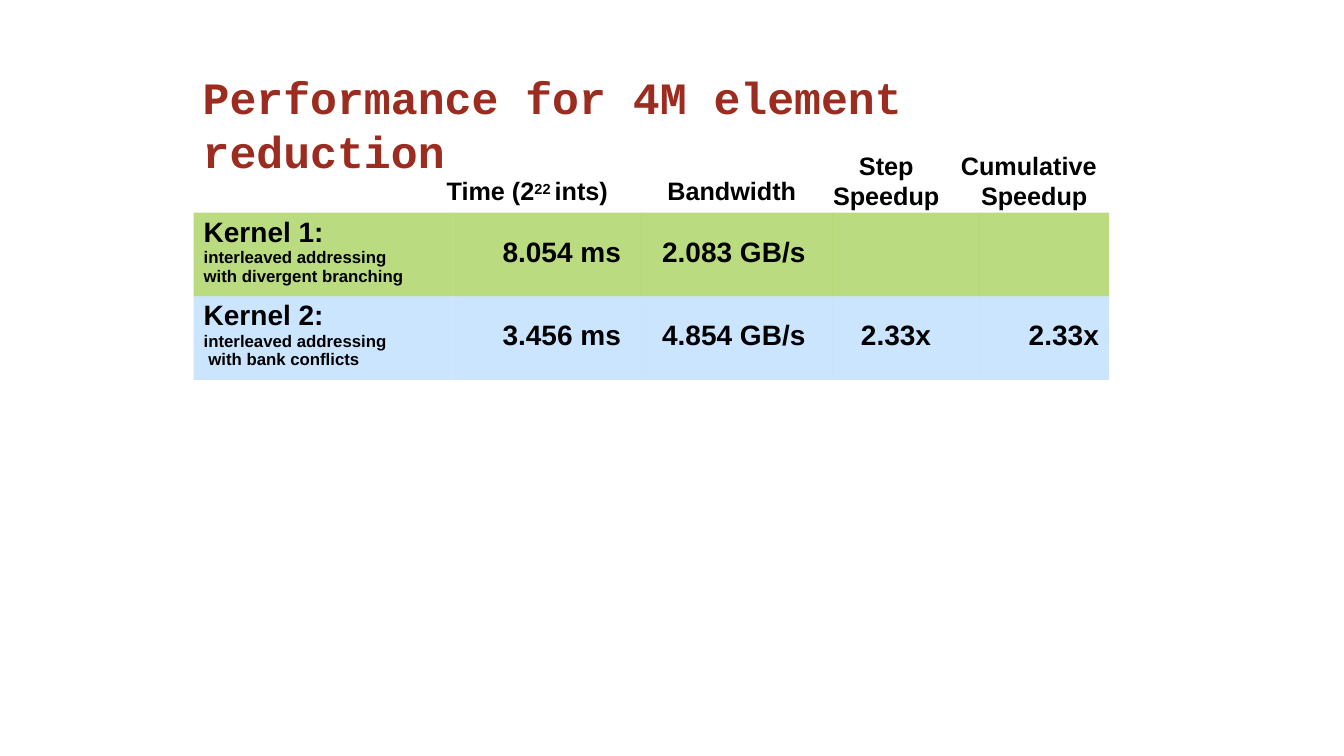
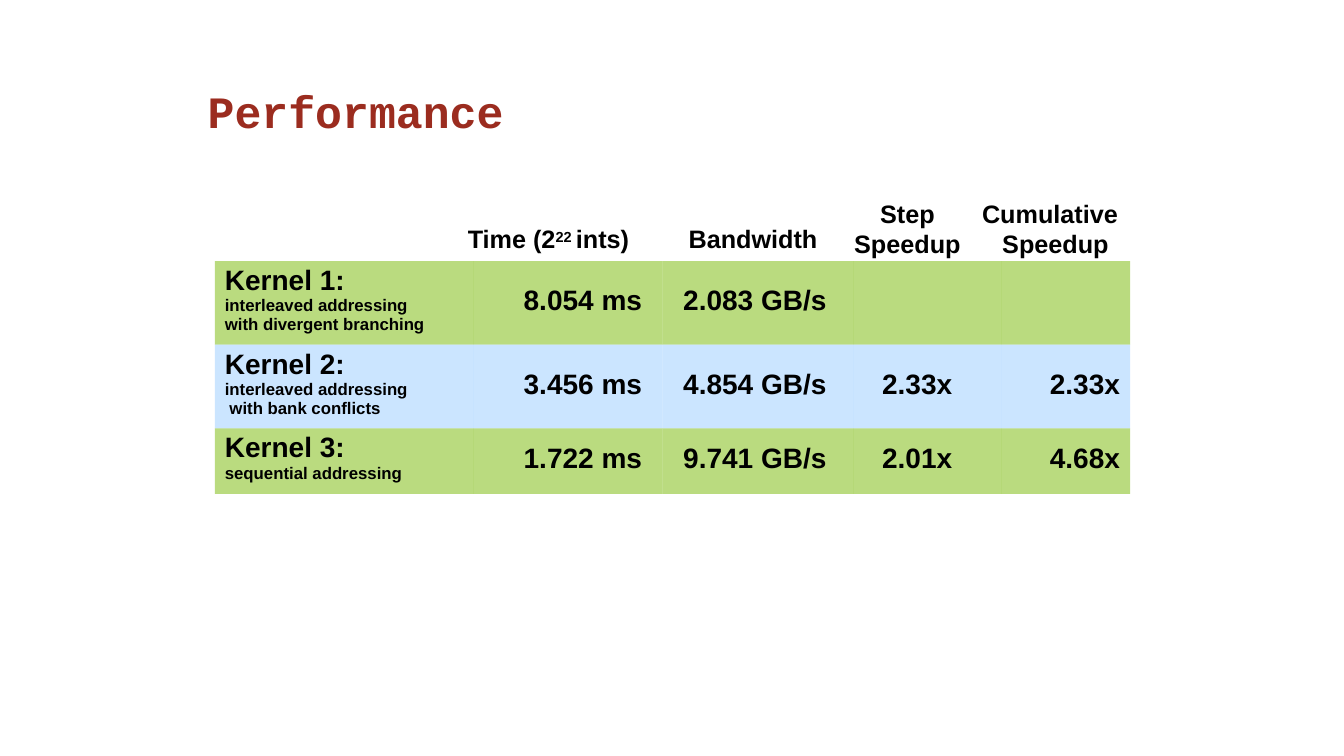
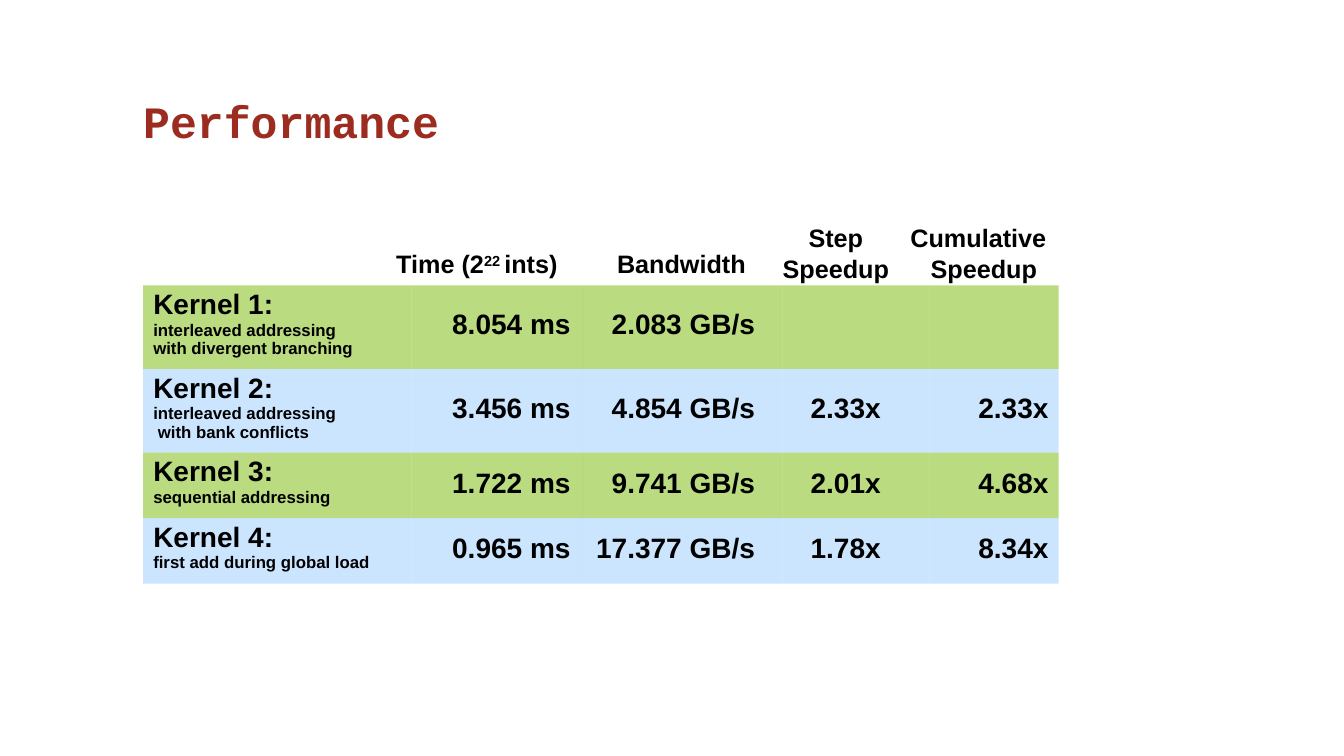
from dataclasses import dataclass

from lxml import etree
from pptx import Presentation
from pptx.dml.color import RGBColor
from pptx.enum.text import MSO_ANCHOR, MSO_AUTO_SIZE, PP_ALIGN
from pptx.oxml.ns import qn
from pptx.slide import Slide
from pptx.table import _Cell
from pptx.text.text import TextFrame, _Paragraph
from pptx.util import Emu, Inches, Pt

LEFT, CENTER, RIGHT = PP_ALIGN.LEFT, PP_ALIGN.CENTER, PP_ALIGN.RIGHT
TOP = MSO_ANCHOR.TOP
FIT_SHAPE = MSO_AUTO_SIZE.SHAPE_TO_FIT_TEXT
TITLE_ONLY = 5

RED = RGBColor(0x9B, 0x2C, 0x1F)
BLACK = RGBColor(0x00, 0x00, 0x00)
ROW_COLORS = (RGBColor(0x76, 0xB8, 0x00), RGBColor(0x99, 0xCC, 0xFF))
ROW_ALPHA = "50000"
PLAIN_TABLE = "{2D5ABB26-0587-4C30-8999-92F81FD0307C}"

GRID_STEP = Inches(0.1)
SLIDE_COLUMNS, SLIDE_ROWS = 133.3, 75
VALUE_LINE = 3.5
LABEL_INSET = 0.4


@dataclass(frozen=True)
class Kernel:
    name: str
    method: str
    values: tuple[str, str, str, str]
    height: float


@dataclass(frozen=True)
class Header:
    pieces: tuple[tuple[str, int], ...]
    left: float
    above: float
    width: float
    height: float
    align: PP_ALIGN = LEFT
    margin: float = 0.1
    indent: float = 0


@dataclass(frozen=True)
class PerformanceSlide:
    title: str
    title_box: tuple[float, float, float, float]
    table_left: float
    table_top: float
    column_widths: tuple[float, ...]
    time_inset: float
    kernel_count: int


KERNELS = (
    Kernel("Kernel 1:", "interleaved addressing\vwith divergent branching",
           ("8.054 ms", "2.083 GB/s", "", ""), 8.3),
    Kernel("Kernel 2:", "interleaved addressing\v with bank conflicts",
           ("3.456 ms", "4.854 GB/s", "2.33x", "2.33x"), 8.3),
    Kernel("Kernel 3:", "sequential addressing",
           ("1.722 ms", "9.741 GB/s", "2.01x", "4.68x"), 6.5),
    Kernel("Kernel 4:", "first add during global load",
           ("0.965 ms", "17.377 GB/s", "1.78x", "8.34x"), 6.5),
)

HEADERS = (
    Header((("Time (2", 0), ("22 ", 25), ("ints)", 0)), 25, 3.8, 16.6, 3.3),
    Header((("Bandwidth", 0),), 46.9, 3.8, 13.5, 3.3),
    Header((("Step\vSpeedup", 0),), 63.3, 6.3, 10.8, 6.3, align=CENTER),
    Header((("Cumulative\vSpeedup", 0),), 75.9, 6.3, 14.5, 6.3,
           margin=2.2, indent=-2),
)

WIDE_TIME = (25.7, 18.7, 19, 14.6, 12.8)
WIDE_BANDWIDTH = (26.6, 17, 19.8, 14.6, 12.8)

SLIDES = (
    PerformanceSlide("Performance for 4M element reduction",
                     (20.1, 6.8, 81.5, 5.6), 19.2, 21.1, WIDE_TIME, 2, 2),
    PerformanceSlide("Performance", (20.6, 8.2, 67.9, 5.4),
                     21.3, 25.9, WIDE_TIME, 2, 3),
    PerformanceSlide("Performance", (14.2, 9.2, 39.1, 5.6),
                     14.2, 28.3, WIDE_BANDWIDTH, 1.2, 4),
)


def grid(steps: float) -> Emu:
    return Emu(round(steps * GRID_STEP))


def write(paragraph: _Paragraph, text: str, *, size: float,
          font: str = "Arial", color: RGBColor = BLACK,
          align: PP_ALIGN = LEFT, before: float = 0, raised: int = 0) -> None:
    paragraph.alignment = align
    paragraph.space_before = Pt(before)
    for number, line in enumerate(text.split("\v")):
        if number:
            paragraph.add_line_break()
        run = paragraph.add_run()
        run.text = line
        run.font.size = Pt(size)
        run.font.name = font
        run.font.bold = True
        run.font.color.rgb = color
        if raised:
            run.font._element.set("baseline", str(raised * 1000))


def prepare_frame(frame: TextFrame) -> None:
    frame.word_wrap = True
    frame.auto_size = FIT_SHAPE
    frame.vertical_anchor = TOP
    frame.margin_left = frame.margin_right = frame.margin_bottom = 0
    frame.margin_top = grid(0.1)


def add_title(slide: Slide, content: PerformanceSlide) -> None:
    title = slide.shapes.title
    title.left, title.top, title.width, title.height = map(
        grid, content.title_box)
    prepare_frame(title.text_frame)
    write(title.text_frame.paragraphs[0], content.title, size=32,
          font="Courier New", color=RED, before=1.1)


def add_header(slide: Slide, header: Header, left: float, top: float) -> None:
    box = slide.shapes.add_textbox(
        grid(left + header.left), grid(top - header.above),
        grid(header.width), grid(header.height))
    prepare_frame(box.text_frame)
    paragraph = box.text_frame.paragraphs[0]
    properties = paragraph._p.get_or_add_pPr()
    if header.align == LEFT:
        properties.set("marL", str(grid(header.margin)))
        properties.set("indent", str(grid(header.indent)))
    for text, raised in header.pieces:
        write(paragraph, text, size=18, align=header.align, before=1,
              raised=raised)


def format_cell(cell: _Cell, color: RGBColor, *, left: float = 0,
                right: float = 0, top: float = 0) -> None:
    cell.margin_left, cell.margin_right = grid(left), grid(right)
    cell.margin_top, cell.margin_bottom = grid(top), 0
    cell.vertical_anchor = TOP
    cell.fill.solid()
    cell.fill.fore_color.rgb = color
    fill = cell._tc.get_or_add_tcPr().find(qn("a:solidFill"))
    etree.SubElement(fill[0], qn("a:alpha")).set("val", ROW_ALPHA)


def add_kernel_table(slide: Slide, content: PerformanceSlide) -> None:
    kernels = KERNELS[:content.kernel_count]
    widths = content.column_widths
    table = slide.shapes.add_table(
        len(kernels), len(widths), grid(content.table_left),
        grid(content.table_top), grid(sum(widths)),
        grid(sum(kernel.height for kernel in kernels))).table
    table.first_row = table.horz_banding = False
    table._tbl.tblPr.find(qn("a:tableStyleId")).text = PLAIN_TABLE
    for column, width in zip(table.columns, widths):
        column.width = grid(width)

    value_formats = (
        (RIGHT, 0, content.time_inset),
        (RIGHT, 0, 2.7),
        (LEFT, 2.8, 0),
        (RIGHT, 0, 1),
    )
    for index, kernel in enumerate(kernels):
        table.rows[index].height = grid(kernel.height)
        color = ROW_COLORS[index % len(ROW_COLORS)]
        label = table.cell(index, 0)
        format_cell(label, color, left=1, top=LABEL_INSET)
        write(label.text_frame.paragraphs[0], kernel.name, size=20)
        write(label.text_frame.add_paragraph(), kernel.method, size=12,
              before=0.2)
        inset = (kernel.height - VALUE_LINE) / 2
        for column, (value, (align, left, right)) in enumerate(
                zip(kernel.values, value_formats), start=1):
            cell = table.cell(index, column)
            format_cell(cell, color, left=left, right=right, top=inset)
            if value:
                write(cell.text_frame.paragraphs[0], value, size=20,
                      align=align)


def main() -> None:
    presentation = Presentation()
    presentation.slide_width = grid(SLIDE_COLUMNS)
    presentation.slide_height = grid(SLIDE_ROWS)
    for content in SLIDES:
        slide = presentation.slides.add_slide(
            presentation.slide_layouts[TITLE_ONLY])
        add_title(slide, content)
        add_kernel_table(slide, content)
        for header in HEADERS:
            add_header(slide, header, content.table_left, content.table_top)
    presentation.save("out.pptx")


if __name__ == "__main__":
    main()
